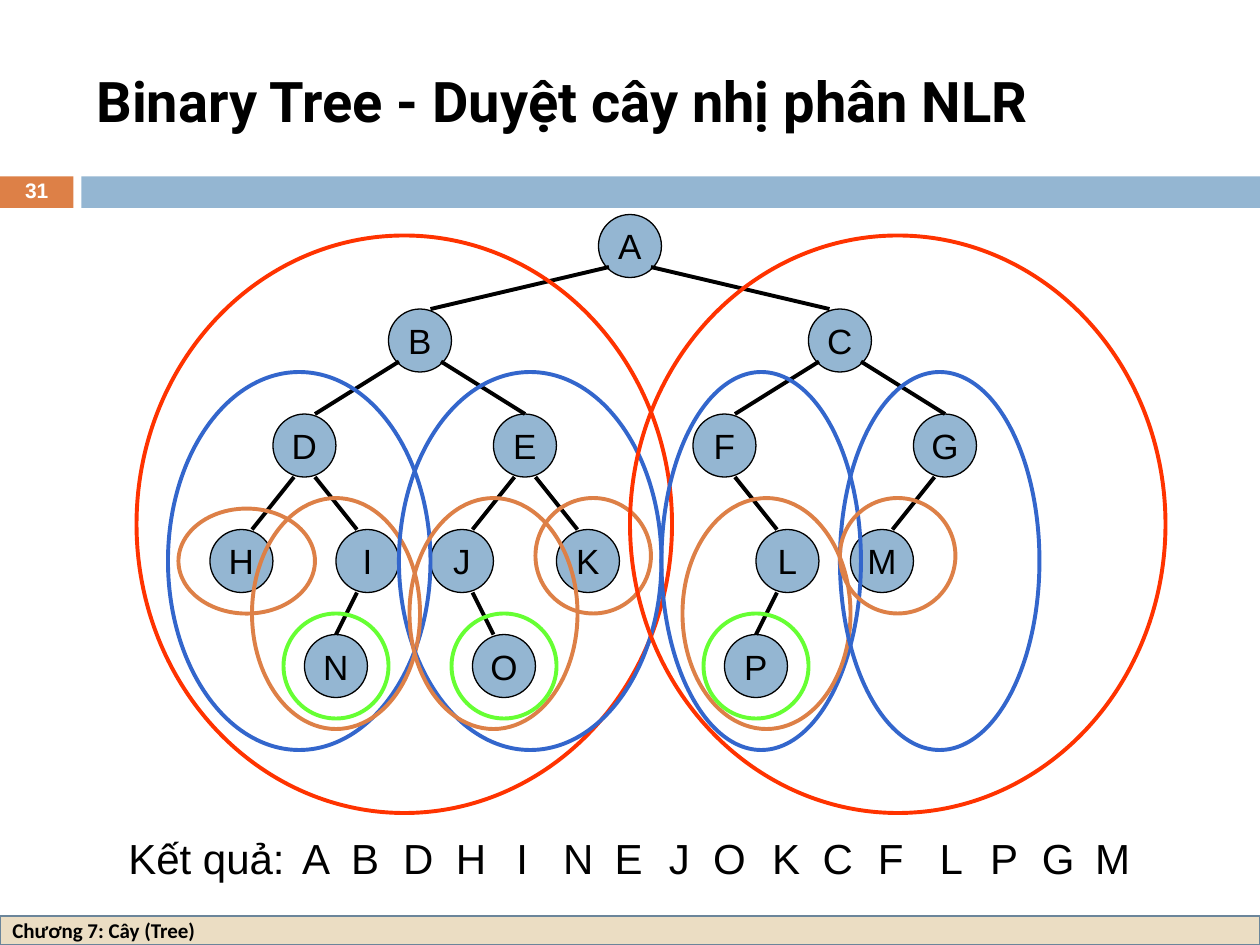
from lxml import etree
from pptx import Presentation
from pptx.dml import color
from pptx.enum import shapes, text
from pptx.oxml import ns
from pptx.util import Pt

COLORS = {"black": "000000", "white": "FFFFFF", "blue": "94B6D2", "orange": "DD8047",
          "sand": "EBDDC3", "slate": "6B859A", "red": "FF3300", "royal": "3366CC",
          "green": "66FF33"}
UNIT = 6
NODE = 6
LEVELS = [0, 9, 19, 30, 40]

# name: (column, level, parent, shift of the edge's lower end)
NODES = {
    "A": (44, 0, None, 0), "B": (24, 1, "A", 1), "D": (13, 2, "B", 1),
    "H": (7, 3, "D", 1), "I": (19, 3, "D", -1), "N": (16, 4, "I", 0),
    "E": (34, 2, "B", 0), "J": (28, 3, "E", 1), "O": (32, 4, "J", -1),
    "K": (40, 3, "E", -1), "C": (64, 1, "A", -1), "F": (53, 2, "C", 1),
    "L": (59, 3, "F", -1), "P": (56, 4, "L", 0), "G": (74, 2, "C", 0),
    "M": (68, 3, "G", 1),
}
SUBTREES = [
    ("red", 0, 2, 51, 55), ("royal", 3, 15, 25, 36), ("orange", 4, 28, 13, 10),
    ("orange", 11, 27, 16, 22), ("green", 14, 38, 10, 10), ("royal", 25, 15, 25, 36),
    ("orange", 26, 27, 16, 22), ("green", 30, 38, 10, 10), ("orange", 38, 27, 11, 11),
    ("red", 47, 2, 51, 55), ("royal", 50, 15, 19, 36), ("orange", 52, 27, 16, 22),
    ("green", 54, 38, 10, 10), ("royal", 67, 15, 19, 36), ("orange", 67, 27, 11, 11),
]
RESULT = {"Kết quả:": (0, 103.7), "A": (99.4, 30.2), "B": (127.4, 30.2),
          "D": (157, 31.7), "H": (187.2, 31.7), "I": (221.8, 20.9),
          "N": (248.4, 31.7), "E": (277.9, 30.2), "J": (308.9, 25.9),
          "O": (334.1, 33.1), "K": (367.9, 30.2), "C": (396.7, 31.7),
          "F": (428.4, 28.8), "L": (463.7, 27.4), "P": (492.5, 30.2),
          "G": (522, 33.1), "M": (552.2, 34.6)}


def rgb(name):
    """Return the named colour."""
    return color.RGBColor.from_string(COLORS[name])


def write(sp, words, frame=None, para=None, **font):
    """Put one formatted line of text into a shape."""
    tf = sp.text_frame
    p = tf.paragraphs[0]
    r = p.add_run()
    r.text = words
    r.font.color.rgb = rgb(font.pop("color", "black"))
    formats = [(tf, {"word_wrap": True, **(frame or {})}),
               (p, {"alignment": text.PP_ALIGN.LEFT, **(para or {})}),
               (r.font, {"name": "Arial", **font})]
    for target, values in formats:
        for key, value in values.items():
            setattr(target, key, value)


def add_box(s, kind, box, fill=None, line=None, width=0.75):
    """Add a preset shape with optional fill and outline."""
    sp = s.shapes.add_shape(kind, *map(Pt, box))
    sp.shadow.inherit = False
    for target, name in ((sp.fill, fill), (sp.line.fill, line)):
        if name:
            target.solid()
            target.fore_color.rgb = rgb(name)
        else:
            target.background()
    if line:
        sp.line.width = Pt(width)
    return sp


def add_edge(s, x1, y1, x2, y2):
    """Add one black tree edge."""
    c = s.shapes.add_connector(shapes.MSO_CONNECTOR.STRAIGHT, *map(Pt, (x1, y1, x2, y2)))
    c.line.color.rgb = rgb("black")
    c.line.width = Pt(2.25)
    etree.SubElement(c.element.spPr, ns.qn("a:effectLst"))


def add_header(s, left, top, width):
    """Add the title, the page number and the bar under the title."""
    rect = shapes.MSO_SHAPE.RECTANGLE
    middle = {"vertical_anchor": text.MSO_ANCHOR.MIDDLE}
    add_box(s, rect, (left + 46.5, top + 100.8, width - 46.5, 18), "blue")
    number = add_box(s, rect, (left, top + 100.8, 42, 18), "orange")
    write(number, "31", middle, {"alignment": text.PP_ALIGN.CENTER, "line_spacing": 0.8},
          size=Pt(12), bold=True, color="white")
    title = s.shapes.add_textbox(*map(Pt, (left + 48, top + 18, 642, 78)))
    write(title, "Binary Tree - Duyệt cây nhị phân NLR", middle,
          name="Roboto", size=Pt(32), bold=True)


def add_tree(s, left, top):
    """Add the nodes, their edges and the ovals around the subtrees."""
    oval = shapes.MSO_SHAPE.OVAL
    frame = {"vertical_anchor": text.MSO_ANCHOR.MIDDLE, "word_wrap": False}
    for name, (col, level, _, _) in NODES.items():
        box = (left + col * UNIT, top + LEVELS[level] * UNIT, NODE * UNIT, NODE * UNIT)
        write(add_box(s, oval, box, "blue", "black"), name, frame,
              {"alignment": text.PP_ALIGN.CENTER}, size=Pt(20))
    for col, level, parent, shift in NODES.values():
        if parent:
            parent_col, parent_level = NODES[parent][:2]
            spread = 2 if parent_level < 2 else 1
            side = 1 if col > parent_col else -1
            add_edge(s, left + (parent_col + NODE / 2 + side * spread) * UNIT,
                     top + (LEVELS[parent_level] + NODE + 1 - spread) * UNIT,
                     left + (col + NODE / 2 + shift) * UNIT,
                     top + LEVELS[level] * UNIT)
    for line, col, row, width, height in SUBTREES:
        box = (left + col * UNIT, top + row * UNIT, width * UNIT, height * UNIT)
        add_box(s, oval, box, line=line, width=2.25)


def add_result(s, left, top):
    """Add the visiting order as a row of letters."""
    frame = {"word_wrap": False, "auto_size": text.MSO_AUTO_SIZE.SHAPE_TO_FIT_TEXT}
    for words, (x, width) in RESULT.items():
        sp = s.shapes.add_textbox(*map(Pt, (left + x, top, width, 36)))
        write(sp, words, frame, {"alignment": text.PP_ALIGN.CENTER}, size=Pt(24))


def add_footer(s, left, top, width, height):
    """Add the chapter strip."""
    sp = add_box(s, shapes.MSO_SHAPE.RECTANGLE, (left, top, width, height),
                 "sand", "slate", 1.5)
    write(sp, "Chương 7: Cây (Tree)", {"vertical_anchor": text.MSO_ANCHOR.MIDDLE},
          name="Calibri", size=Pt(12), bold=True)


def main():
    """Build and save the slide."""
    prs = Presentation()
    prs.slide_width, prs.slide_height = Pt(720), Pt(540)
    s = prs.slides.add_slide(prs.slide_layouts[6])
    add_header(s, 0, 0, 720)
    add_footer(s, 0, 523.4, 720, 16.6)
    add_tree(s, 78, 122.6)
    add_result(s, 66.2, 472.3)
    prs.save("out.pptx")


if __name__ == "__main__":
    main()
